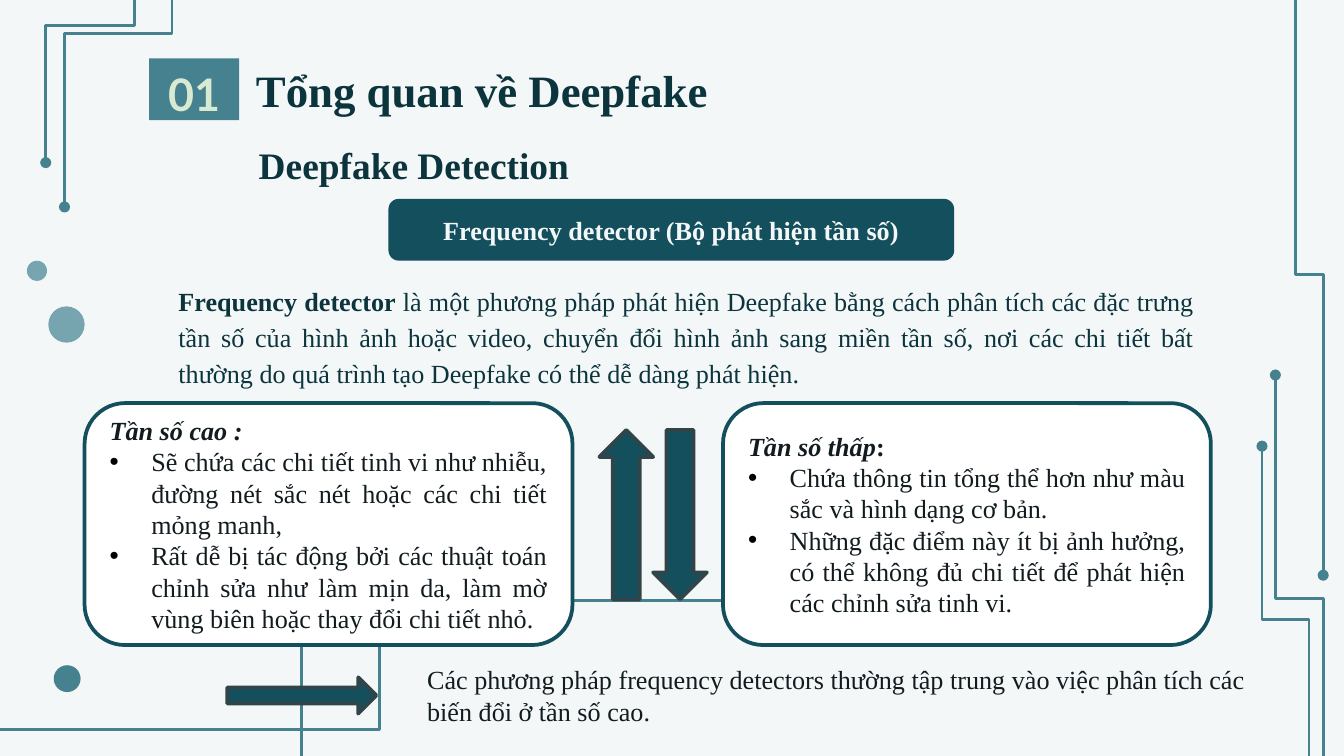
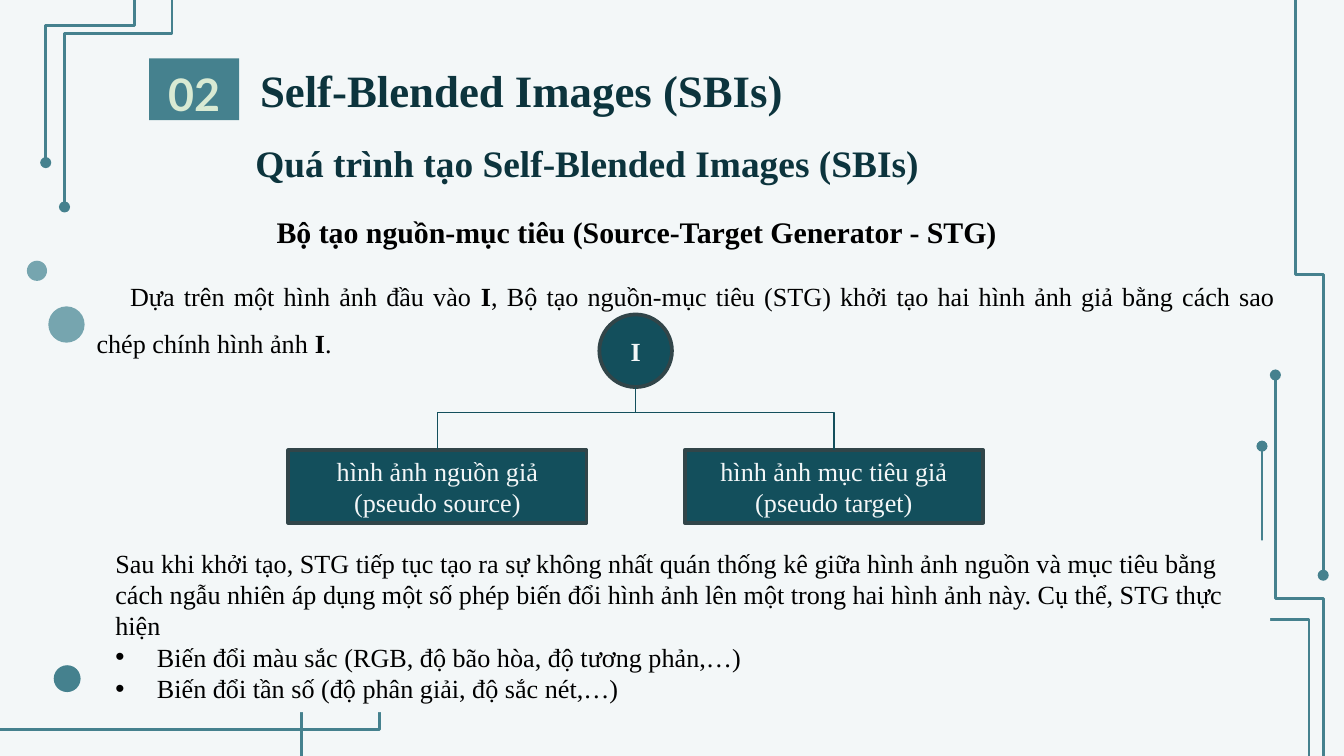
"""Build two slides on Deepfake frequency detection and Self-Blended Images."""
import pptx
import pptx.dml.color
import pptx.enum.shapes
import pptx.enum.text
import pptx.oxml.ns
import pptx.util
from lxml import etree

RGB = pptx.dml.color.RGBColor
MSO = pptx.enum.shapes.MSO_SHAPE
ALIGN = pptx.enum.text.PP_ALIGN
ANCHOR = pptx.enum.text.MSO_ANCHOR
Pt = pptx.util.Pt
qn = pptx.oxml.ns.qn

PALE = RGB(0xF3, 0xF7, 0xF8)
WHITE = RGB(0xFF, 0xFF, 0xFF)
BLACK = RGB(0, 0, 0)
INK = RGB(0x12, 0x1C, 0x1F)
NAVY = RGB(0x0C, 0x34, 0x3D)
DEEP = RGB(0x13, 0x4F, 0x5C)
TEAL = RGB(0x45, 0x81, 0x8E)
MIST = RGB(0x76, 0xA5, 0xAF)
SLATE = RGB(0x31, 0x45, 0x49)
MINT = RGB(0xD9, 0xEA, 0xD3)

SERIF, SANS = "Times New Roman", "Lato"
SLIDE_W, SLIDE_H = pptx.util.Inches(10), pptx.util.Inches(5.625)
COLS = 100
CELL = SLIDE_W / COLS

CIRCUIT_DOWN = [
    ((96.4, -2), (98.45, 42.8), 0.5),
    ((98.5, 61.2), (94.9, 27.9), 0.5),
    ((97.4, 69.6), (93.9, 33.2), 0.646),
    ((12.8, -7.4), (4.8, 15.4), 0.435),
    ((10, -8.3), (3.4, 12.1), 0.5),
]
CIRCUIT_ACROSS = [
    ((7.3, 57.3), (37.6, 46.7), 0.5),
    ((-3.5, 54.3), (60, 44.7), 0.5),
]
DOTS = [(3.6, 22.8, 2.7, MIST), (4, 49.5, 2, TEAL), (2, 19.4, 1.5, MIST)]

OVERVIEW = {
    "number": "01",
    "title": ("Tổng quan về Deepfake", (17.8, 4.5, 36.1, 5.2)),
    "subtitle": ("Deepfake Detection", (14.4, 10.3, 32.8, 4.6)),
    "banner": "Frequency detector (Bộ phát hiện tần số)",
    "intro": [
        ("Frequency detector ", "b"),
        ("là một phương pháp phát hiện Deepfake bằng cách phân tích các đặc trưng "
         "tần số của hình ảnh hoặc video, chuyển đổi hình ảnh sang miền tần số, nơi "
         "các chi tiết bất thường do quá trình tạo Deepfake có thể dễ dàng phát hiện.", ""),
    ],
    "cards": [
        ([("Tần số cao :", "bi")],
         ["Sẽ chứa các chi tiết tinh vi như nhiễu, đường nét sắc nét hoặc các chi "
          "tiết mỏng manh,",
          "Rất dễ bị tác động bởi các thuật toán chỉnh sửa như làm mịn da, làm mờ "
          "vùng biên hoặc thay đổi chi tiết nhỏ."]),
        ([("Tần số thấp", "bi"), (":", "b")],
         ["Chứa thông tin tổng thể hơn như màu sắc và hình dạng cơ bản.",
          "Những đặc điểm này ít bị ảnh hưởng, có thể không đủ chi tiết để phát hiện "
          "các chỉnh sửa tinh vi."]),
    ],
    "arrows": [
        ((48.6, 32, 4, 12.6), 0, 0.5),
        ((44.6, 32, 4, 12.6), 180, 0.5),
        ((21.1, 46.2, 2.7, 11.1), 270, 0.44),
    ],
    "conclusion": "Các phương pháp frequency detectors thường tập trung vào việc "
                  "phân tích các biến đổi ở tần số cao.",
}

BLENDING = {
    "number": "02",
    "title": ("Self-Blended Images (SBIs)", (17.8, 4.5, 42, 5.2)),
    "subtitle": ("Quá trình tạo Self-Blended Images (SBIs)", (12.8, 10.2, 61.8, 4.6)),
    "heading": "Bộ tạo nguồn-mục tiêu (Source-Target Generator - STG)",
    "intro": [
        ("Dựa trên một hình ảnh đầu vào ", ""),
        ("I", "b"),
        (", Bộ tạo nguồn-mục tiêu (STG) khởi tạo hai hình ảnh giả bằng cách sao chép "
         "chính hình ảnh ", ""),
        ("I", "b"),
        (".", ""),
    ],
    "root": "I",
    "branches": ["hình ảnh nguồn giả (pseudo source)", "hình ảnh mục tiêu giả (pseudo target)"],
    "next": "Sau khi khởi tạo, STG tiếp tục tạo ra sự không nhất quán thống kê giữa hình "
            "ảnh nguồn và mục tiêu bằng cách ngẫu nhiên áp dụng một số phép biến đổi hình "
            "ảnh lên một trong hai hình ảnh này. Cụ thể, STG thực hiện",
    "steps": ["Biến đổi màu sắc (RGB, độ bão hòa, độ tương phản,…)",
              "Biến đổi tần số (độ phân giải, độ sắc nét,…)"],
}


def grid(*cells):
    return [round(c * CELL) for c in cells]


def add_xml(parent, tag, **attrs):
    return etree.SubElement(parent, qn(tag), attrs)


def write(sp, paras, size=14, color=BLACK, font=SERIF, align=ALIGN.LEFT,
          anchor=ANCHOR.TOP, pad=0.5, spacing=None, left=0, first=0):
    """Fill a shape with paragraphs given as (runs, bulleted) pairs."""
    tf = sp.text_frame
    tf.word_wrap = True
    tf.vertical_anchor = anchor
    tf.margin_left = tf.margin_right = grid(1)[0]
    tf.margin_top = tf.margin_bottom = grid(pad)[0]
    for i, (runs, bulleted) in enumerate(paras):
        p = tf.paragraphs[0] if i == 0 else tf.add_paragraph()
        p.alignment = align
        if spacing:
            p.line_spacing = spacing
        pPr = p._p.get_or_add_pPr()
        margin, indent = grid(3.1, -3.1) if bulleted else grid(left, first)
        pPr.set("marL", str(margin))
        pPr.set("indent", str(indent))
        if bulleted:
            add_xml(add_xml(pPr, "a:buClr"), "a:srgbClr", val=str(BLACK))
            add_xml(pPr, "a:buFont", typeface="Arial")
            add_xml(pPr, "a:buChar", char="•")
        for text, style in runs:
            r = p.add_run()
            r.text = text
            r.font.name, r.font.size, r.font.color.rgb = font, Pt(size), color
            r.font.bold, r.font.italic = "b" in style, "i" in style


def plain(text, style=""):
    return [([(text, style)], False)]


def bullets(items):
    return [([(item, "")], True) for item in items]


def add_text(s, box, paras, **style):
    write(s.shapes.add_textbox(*grid(*box)), paras, **style)


def add_shape(s, kind, box, fill, line=None, width=2, adj=()):
    sp = s.shapes.add_shape(kind, *grid(*box))
    sp.shadow.inherit = False
    sp.fill.solid()
    sp.fill.fore_color.rgb = fill
    if line is None:
        sp.line.fill.background()
    else:
        sp.line.color.rgb = line
        sp.line.width = Pt(width)
    for i, value in enumerate(adj):
        sp.adjustments[i] = value
    return sp


def add_elbow(s, start, end, bend, color, width, down=True, dot=False):
    """Draw a bent connector that leaves downwards or sideways."""
    kind = pptx.enum.shapes.MSO_CONNECTOR.ELBOW
    cx = s.shapes.add_connector(kind, *grid(*start, *end))
    spPr = cx._element.spPr
    if down:
        (x0, y0), (x1, y1) = start, end
        w, h = abs(y1 - y0), abs(x1 - x0)
        cx.left, cx.top, cx.width, cx.height = grid(
            (x0 + x1 - w) / 2, (y0 + y1 - h) / 2, w, h)
        xfrm = spPr.find(qn("a:xfrm"))
        xfrm.set("rot", str((90 if x1 < x0 else 270) * 60000))
        xfrm.set("flipH", str(int((x1 > x0) == (y1 > y0))))
        xfrm.set("flipV", "0")
    guides = spPr.find(qn("a:prstGeom")).get_or_add_avLst()
    add_xml(guides, "a:gd", name="adj1", fmla=f"val {round(bend * 100000)}")
    cx.line.color.rgb = color
    cx.line.width = Pt(width)
    if dot:
        add_xml(cx.line._get_or_add_ln(), "a:tailEnd", type="oval")
    add_xml(spPr, "a:effectLst")


def start_slide(prs, content):
    s = prs.slides.add_slide(prs.slide_layouts[6])
    s.background.fill.solid()
    s.background.fill.fore_color.rgb = PALE
    for down, wires in ((True, CIRCUIT_DOWN), (False, CIRCUIT_ACROSS)):
        for start, end, bend in wires:
            add_elbow(s, start, end, bend, TEAL, 1.5, down, dot=True)
    for x, y, size, color in DOTS:
        add_shape(s, MSO.OVAL, (x, y, size, size), color)
    badge = add_shape(s, MSO.RECTANGLE, (11.1, 4.35, 6.7, 4.6), TEAL)
    write(badge, plain(content["number"], "b"), 24, MINT, SANS, ALIGN.CENTER,
          ANCHOR.MIDDLE, pad=1, spacing=1.15)
    for key, size in (("title", 24), ("subtitle", 20)):
        text, box = content[key]
        add_text(s, box, plain(text, "b"), size=size, color=NAVY,
                 align=ALIGN.CENTER, anchor=ANCHOR.BOTTOM, pad=1)
    return s


def build_overview(prs, content):
    s = start_slide(prs, content)
    add_text(s, (7.3, 19.9, 82.6, 9.5), [(content["intro"], False)], color=NAVY,
             align=ALIGN.JUSTIFY, pad=1, spacing=1.15, left=5)
    banner = add_shape(s, MSO.ROUNDED_RECTANGLE, (28.9, 14.8, 42.1, 4.6), DEEP, adj=[0.167])
    write(banner, plain(content["banner"], "b"), color=PALE, align=ALIGN.CENTER,
          anchor=ANCHOR.MIDDLE)
    for i, (head, items) in enumerate(content["cards"]):
        card = add_shape(s, MSO.ROUNDED_RECTANGLE, (6.3 + 47.5 * i, 30, 36.3, 18),
                         WHITE, DEEP, adj=[0.167])
        write(card, [(head, False)] + bullets(items), color=INK,
              align=ALIGN.JUSTIFY, anchor=ANCHOR.MIDDLE)
    add_text(s, (30.8, 48.9, 63.7, 5.7), plain(content["conclusion"]), color=INK)
    for box, turn, shaft in content["arrows"]:
        arrow = add_shape(s, MSO.DOWN_ARROW, box, DEEP, SLATE, adj=[shaft, 0.5])
        arrow.rotation = turn


def build_blending(prs, content):
    s = start_slide(prs, content)
    add_text(s, (19.6, 15.4, 60.9, 3.7), plain(content["heading"], "b"), size=16)
    add_text(s, (6.2, 19.2, 89.7, 7.7), [(content["intro"], False)],
             align=ALIGN.JUSTIFY, spacing=1.5, first=2.5)
    panel = add_shape(s, MSO.RECTANGLE, (7.6, 40.2, 86.9, 12.8), PALE)
    write(panel, plain(content["next"]) + bullets(content["steps"]))

    node, root_x, root_y, leaf_y, leaf_w = 5.4, 47.3, 23.4, 33.5, 22.2
    root = add_shape(s, MSO.OVAL, (root_x - node / 2, root_y, node, node), DEEP, SLATE)
    write(root, plain(content["root"], "b"), color=PALE, align=ALIGN.CENTER,
          anchor=ANCHOR.MIDDLE)
    for i, label in enumerate(content["branches"]):
        x = 21.45 + 29.5 * i
        leaf = add_shape(s, MSO.RECTANGLE, (x, leaf_y, leaf_w, node), DEEP, SLATE)
        write(leaf, plain(label), color=PALE, align=ALIGN.CENTER, anchor=ANCHOR.MIDDLE)
        add_elbow(s, (root_x, root_y + node), (x + leaf_w / 2, leaf_y), 0.406, DEEP, 0.75)


def main():
    prs = pptx.Presentation()
    prs.slide_width, prs.slide_height = SLIDE_W, SLIDE_H
    build_overview(prs, OVERVIEW)
    build_blending(prs, BLENDING)
    prs.save("out.pptx")


if __name__ == "__main__":
    main()
